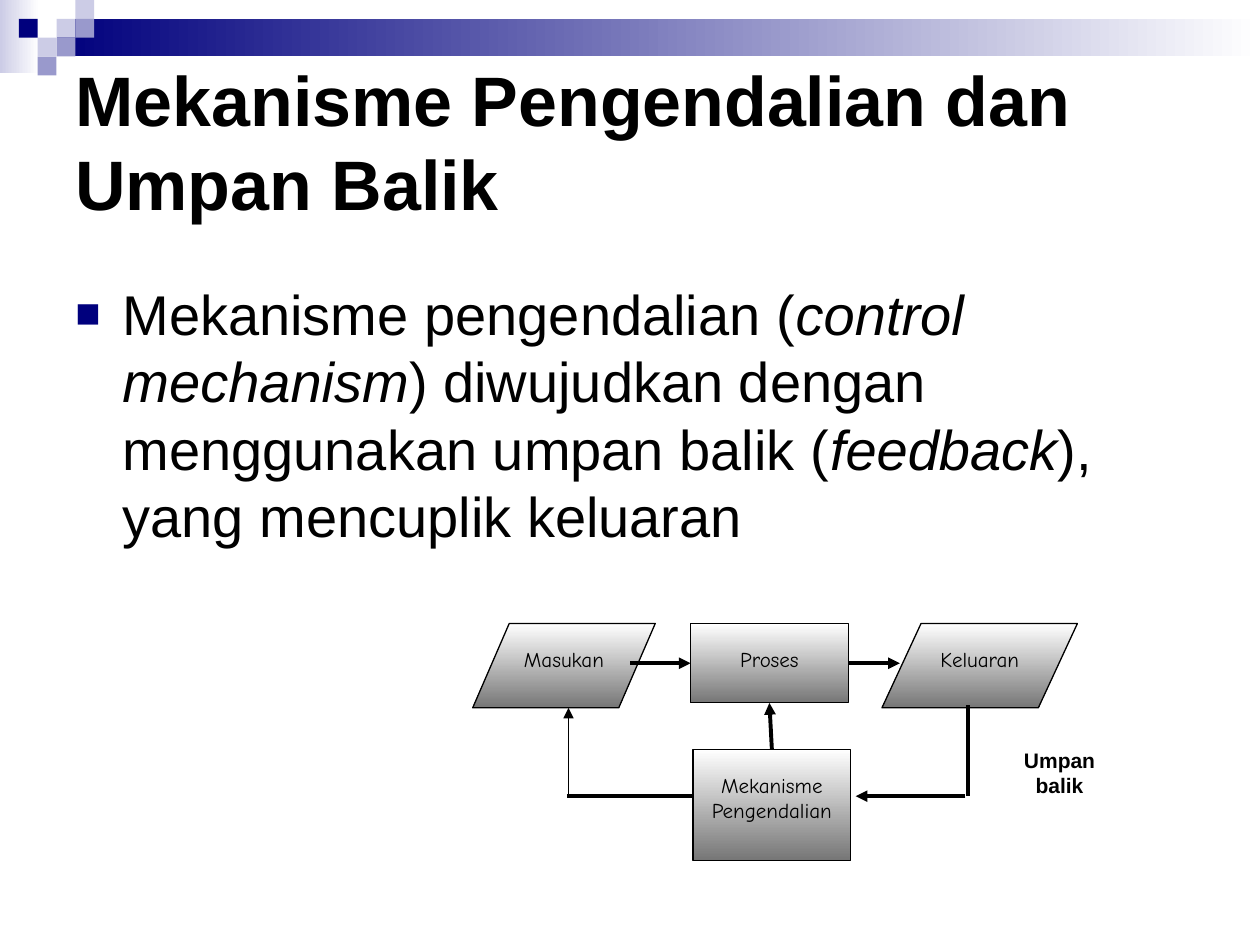
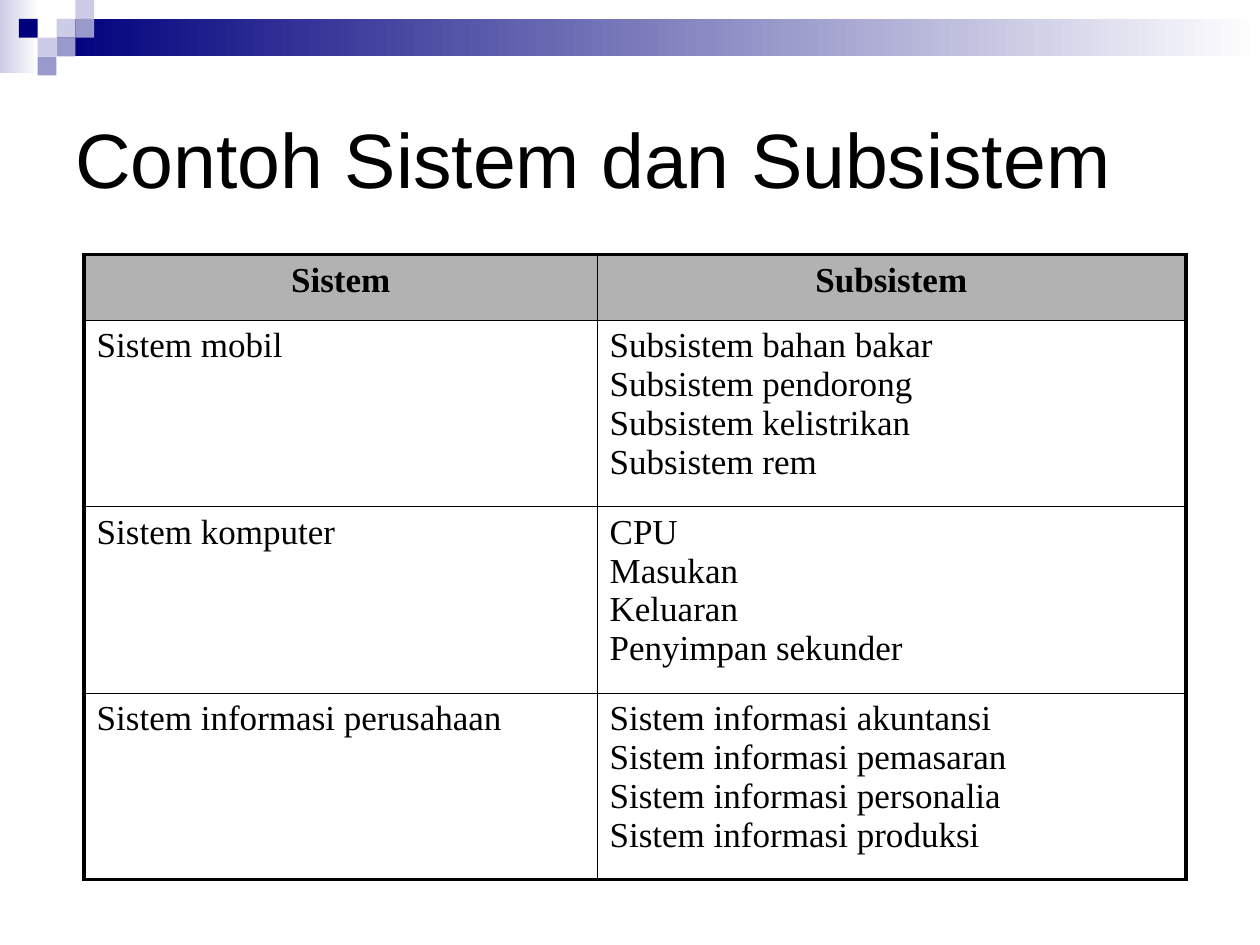
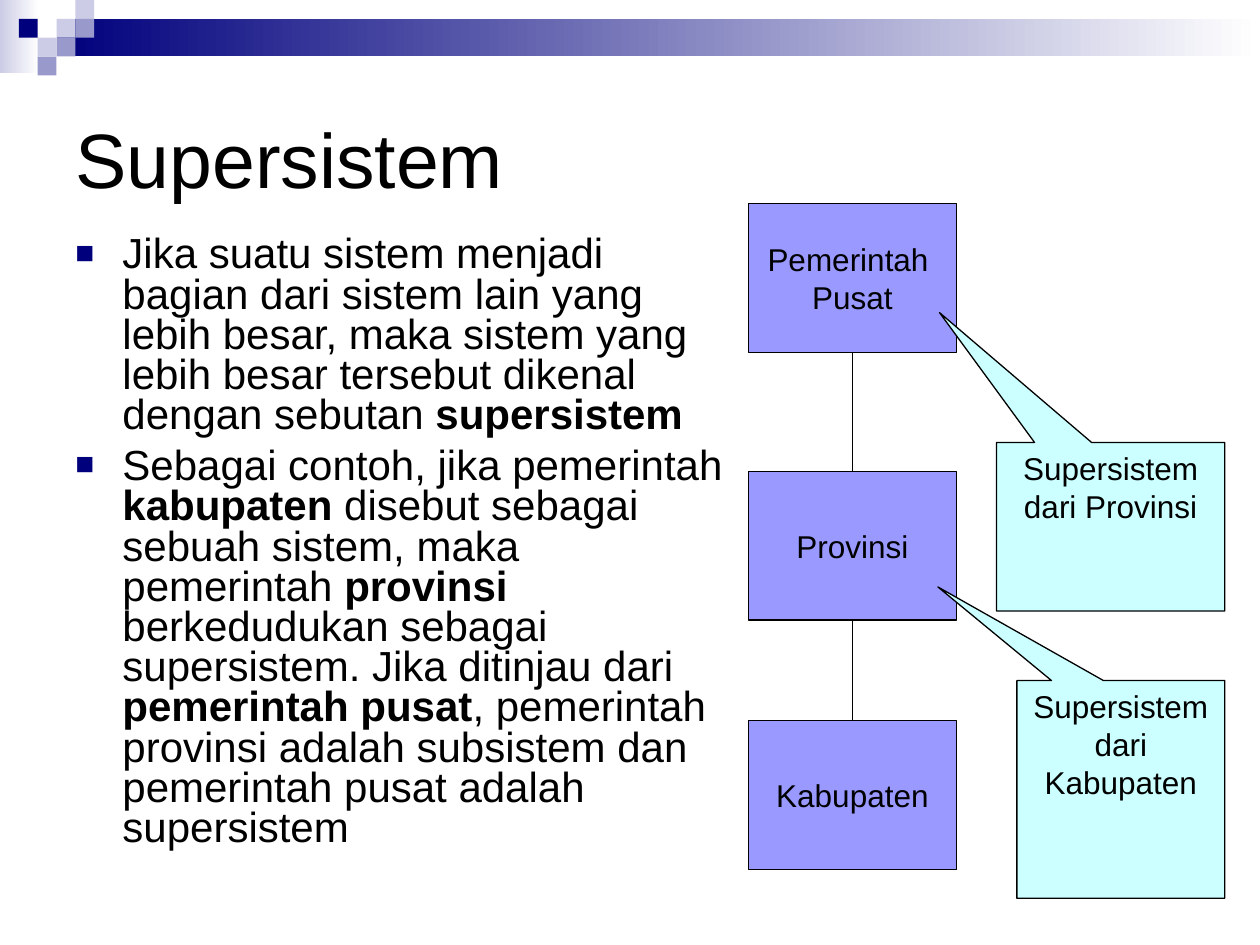
from dataclasses import dataclass, replace
from typing import NamedTuple, Optional

from lxml.etree import SubElement
from pptx import Presentation
from pptx.dml.color import RGBColor
from pptx.enum.shapes import MSO_CONNECTOR as Conn, MSO_SHAPE as Shape
from pptx.enum.text import MSO_ANCHOR as Anchor, PP_ALIGN as Align
from pptx.oxml.ns import qn
from pptx.util import Cm, Pt

BLACK, WHITE, GREY, HEADER = "000000", "FFFFFF", "767676", "B2B2B2"
NAVY, LILAC, MAUVE = "00007D", "CCCCE6", "9999CC"
PERIWINKLE, ICE = "9999FF", "CCFFFF"
SLIDE_W, SLIDE_H, TILE = 25.4, 19.05, 0.38
INSET_X, INSET_Y = 0.25, 0.13
THIN, THICK = 0.75, 2.25


class Box(NamedTuple):
    x: float
    y: float
    w: float
    h: float

    def cm(self):
        return [Cm(v) for v in self]


class Run(NamedTuple):
    text: str
    bold: bool = False
    italic: bool = False


class Tile(NamedTuple):
    col: int
    row: int
    color: str


class Gradient(NamedTuple):
    start: str
    end: str
    angle: int = 0


@dataclass(frozen=True)
class Style:
    size: float
    font: str = "Arial"
    align: Align = Align.LEFT
    leading: float = 1.2
    before: float = 0
    bullet: bool = False
    anchor: Anchor = Anchor.TOP
    wrap: bool = True
    top: float = INSET_Y
    bottom: float = INSET_Y


@dataclass(frozen=True)
class Node:
    box: Box
    lines: list
    style: Style
    kind: Shape = Shape.RECTANGLE
    fill: object = WHITE
    line: Optional[float] = THIN
    adjust: tuple = ()


@dataclass(frozen=True)
class Link:
    start: tuple
    end: tuple
    width: float = THIN
    arrow: bool = False


TILES = [Tile(3, 1, LILAC), Tile(4, 0, LILAC), Tile(4, 1, MAUVE), Tile(2, 2, LILAC),
         Tile(1, 1, NAVY), Tile(3, 2, MAUVE), Tile(2, 3, MAUVE)]
TITLE = Style(44, anchor=Anchor.MIDDLE)
BODY = Style(32, bullet=True)
DENSE = Style(24, bullet=True, leading=0.96, before=6)
FLOW = Style(12, "Comic Neue", Align.CENTER, top=0.46)
LABEL = Style(12, align=Align.CENTER)
CALLOUT = Style(18, align=Align.CENTER)
LEVEL = replace(CALLOUT, anchor=Anchor.MIDDLE, wrap=False)
CELL = Style(20, "Times New Roman", leading=1.11)
METAL = Gradient(WHITE, GREY, 270)


def rgb(color: str) -> RGBColor:
    return RGBColor.from_string(color)


def add_bullet(p) -> None:
    pPr = p._p.get_or_add_pPr()
    pPr.set("marL", str(Cm(0.95)))
    pPr.set("indent", str(-Cm(0.95)))
    SubElement(SubElement(pPr, qn("a:buClr")), qn("a:srgbClr"), val=NAVY)
    SubElement(pPr, qn("a:buSzPct"), val="75000")
    SubElement(pPr, qn("a:buFont"), typeface="Arial")
    SubElement(pPr, qn("a:buChar"), char="■")


def write(tf, lines: list, style: Style) -> None:
    for i, runs in enumerate(lines):
        p = tf.add_paragraph() if i else tf.paragraphs[0]
        if style.bullet:
            add_bullet(p)
        p.alignment = style.align
        p.line_spacing = Pt(round(style.size * style.leading, 1))
        if i:
            p.space_before = Pt(style.before)
        for run in runs:
            r = p.add_run()
            r.text = run.text
            r.font.name, r.font.size = style.font, Pt(style.size)
            r.font.bold, r.font.italic = run.bold, run.italic
            r.font.color.rgb = rgb(BLACK)


def fill_frame(tf, lines: list, style: Style) -> None:
    tf.word_wrap = style.wrap
    tf.vertical_anchor = style.anchor
    tf.margin_left = tf.margin_right = Cm(INSET_X)
    tf.margin_top, tf.margin_bottom = Cm(style.top), Cm(style.bottom)
    write(tf, lines, style)


def paint(fill, color) -> None:
    if isinstance(color, Gradient):
        fill.gradient()
        fill.gradient_angle = color.angle
        for stop, value in zip(fill.gradient_stops, (color.start, color.end)):
            stop.color.rgb = rgb(value)
    else:
        fill.solid()
        fill.fore_color.rgb = rgb(color)


def add_shape(s, box: Box, color, kind=Shape.RECTANGLE, line: Optional[float] = None):
    sp = s.shapes.add_shape(kind, *box.cm())
    sp.shadow.inherit = False
    paint(sp.fill, color)
    if line is None:
        sp.line.fill.background()
    else:
        sp.line.color.rgb = rgb(BLACK)
        sp.line.width = Pt(line)
    return sp


def add_node(s, node: Node):
    sp = add_shape(s, node.box, node.fill, node.kind, node.line)
    for i, value in enumerate(node.adjust):
        sp.adjustments[i] = value
    fill_frame(sp.text_frame, node.lines, node.style)
    return sp


def add_link(s, link: Link) -> None:
    c = s.shapes.add_connector(Conn.STRAIGHT, 0, 0, 0, 0)
    (x1, y1), (x2, y2) = link.start, link.end
    if isinstance(x1, float):
        c.begin_x, c.begin_y = Cm(x1), Cm(y1)
    else:
        c.begin_connect(x1, y1)
    if isinstance(x2, float):
        c.end_x, c.end_y = Cm(x2), Cm(y2)
    else:
        c.end_connect(x2, y2)
    c.line.color.rgb = rgb(BLACK)
    c.line.width = Pt(link.width)
    if link.arrow:
        SubElement(c.line._get_or_add_ln(), qn("a:tailEnd"), type="triangle")
    SubElement(c._element.spPr, qn("a:effectLst"))


def add_text(s, box: Box, lines: list, style: Style) -> None:
    fill_frame(s.shapes.add_textbox(*box.cm()).text_frame, lines, style)


def add_slide(prs, title: Run, top: float = 1.27, style: Style = TITLE):
    s = prs.slides.add_slide(prs.slide_layouts[6])
    add_shape(s, Box(0, 0, 0.79, 1.47), Gradient(LILAC, WHITE))
    add_shape(s, Box(3 * TILE, TILE, SLIDE_W - 3 * TILE, 2 * TILE), Gradient(NAVY, WHITE))
    for tile in TILES:
        add_shape(s, Box(tile.col * TILE, tile.row * TILE, TILE, TILE), tile.color)
    add_text(s, Box(1.27, top, 22.86, 3.81), [[title]], style)
    return s


def set_borders(cell, widths: dict) -> None:
    tcPr = cell._tc.get_or_add_tcPr()
    for i, (side, width) in enumerate(widths.items()):
        ln = SubElement(tcPr, qn(f"a:ln{side}"), w=str(Pt(width)))
        SubElement(SubElement(ln, qn("a:solidFill")), qn("a:srgbClr"), val=BLACK)
        tcPr.insert(i, ln)


def control_slide(prs) -> None:
    s = add_slide(prs, Run("Mekanisme Pengendalian dan Umpan Balik", bold=True), 1.78,
                  replace(TITLE, size=40, bottom=1.82))
    add_text(s, Box(1.27, 5.51, 22.86, 6.02), [[
        Run("Mekanisme pengendalian ("), Run("control mechanism", italic=True),
        Run(") diwujudkan dengan menggunakan umpan balik ("), Run("feedback", italic=True),
        Run("), yang mencuplik keluaran")]], BODY)

    data = Shape.FLOWCHART_DATA
    add_node(s, Node(Box(9.53, 12.57, 3.68, 1.7), [[Run("Masukan")]], FLOW, data, METAL))
    process = add_node(s, Node(Box(13.92, 12.57, 3.18, 1.6), [[Run("Proses")]], FLOW, fill=METAL))
    add_node(s, Node(Box(17.78, 12.57, 3.94, 1.7), [[Run("Keluaran")]], FLOW, data, METAL))
    control = add_node(s, Node(Box(13.97, 15.11, 3.18, 2.24),
                               [[Run("Mekanisme Pengendalian")]], FLOW, fill=METAL))
    add_node(s, Node(Box(20.09, 14.94, 2.54, 1.57), [[Run("Umpan balik", bold=True)]],
                     LABEL, line=None))
    for link in (
        Link((12.7, 13.37), (process, 1), THICK, True),
        Link((process, 3), (18.14, 13.37), THICK, True),
        Link((control, 0), (process, 2), THICK, True),
        Link((19.51, 14.22), (19.51, 16.05), THICK),
        Link((19.46, 16.05), (17.25, 16.05), THICK, True),
        Link((13.97, 16.05), (11.43, 16.05), THICK),
        Link((11.46, 16.08), (11.46, 14.27), THIN, True),
    ):
        add_link(s, link)


def subsystem_slide(prs) -> None:
    s = add_slide(prs, Run("Contoh Sistem dan Subsistem"))
    rows = [
        (["Sistem"], ["Subsistem"]),
        (["Sistem mobil"], ["Subsistem bahan bakar", "Subsistem pendorong",
                            "Subsistem kelistrikan", "Subsistem rem"]),
        (["Sistem komputer"], ["CPU", "Masukan", "Keluaran", "Penyimpan sekunder"]),
        (["Sistem informasi perusahaan"],
         ["Sistem informasi akuntansi", "Sistem informasi pemasaran",
          "Sistem informasi personalia", "Sistem informasi produksi"]),
    ]
    table = s.shapes.add_table(len(rows), 2, *Box(1.7, 5.13, 22.2, 12.6).cm()).table
    table.first_row = table.horz_banding = False
    for column, width in zip(table.columns, (10.34, 11.86)):
        column.width = Cm(width)
    inner, outer, last = 0.45, 2.5, len(rows) - 1
    for i, row in enumerate(rows):
        head = i == 0
        table.rows[i].height = Cm(1.32 if head else 3.76)
        for j, lines in enumerate(row):
            cell = table.cell(i, j)
            cell.margin_left = cell.margin_right = Cm(INSET_X)
            cell.margin_top = cell.margin_bottom = Cm(INSET_Y)
            if head:
                paint(cell.fill, HEADER)
            else:
                cell.fill.background()
            set_borders(cell, {"L": inner if j else outer, "R": outer if j else inner,
                               "T": outer if head else inner,
                               "B": outer if i == last else inner})
            style = replace(CELL, align=Align.CENTER) if head else CELL
            write(cell.text_frame, [[Run(text, bold=head)] for text in lines], style)


def supersystem_slide(prs) -> None:
    s = add_slide(prs, Run("Supersistem"))
    add_text(s, Box(1.27, 4.65, 13.64, 12.67), [
        [Run("Jika suatu sistem menjadi bagian dari sistem lain yang lebih besar, maka sistem "
             "yang lebih besar tersebut dikenal dengan sebutan "), Run("supersistem", True)],
        [Run("Sebagai contoh, jika pemerintah "), Run("kabupaten", True),
         Run(" disebut sebagai sebuah sistem, maka pemerintah "), Run("provinsi", True),
         Run(" berkedudukan sebagai supersistem. Jika ditinjau dari "),
         Run("pemerintah pusat", True),
         Run(", pemerintah provinsi adalah subsistem dan pemerintah pusat adalah supersistem")],
    ], DENSE)

    levels = [(4.11, ["Pemerintah ", "Pusat"]), (9.5, ["Provinsi"]), (14.53, ["Kabupaten"])]
    boxes = [add_node(s, Node(Box(15.09, y, 4.19, 3), [[Run(t)] for t in lines], LEVEL,
                              fill=PERIWINKLE)) for y, lines in levels]
    for upper, lower in zip(boxes, boxes[1:]):
        add_link(s, Link((upper, 2), (lower, 0)))
    for box, name, adjust in (
        (Box(20.5, 13.72, 4.19, 4.39), "dari Kabupaten", (-0.88, -0.93)),
        (Box(20.09, 8.92, 4.6, 3.4), "dari Provinsi", (-0.75, -1.27)),
    ):
        add_node(s, Node(box, [[Run("Supersistem")], [Run(name)]], CALLOUT,
                         Shape.RECTANGULAR_CALLOUT, ICE, adjust=adjust))


def main() -> None:
    prs = Presentation()
    prs.slide_width, prs.slide_height = Cm(SLIDE_W), Cm(SLIDE_H)
    control_slide(prs)
    subsystem_slide(prs)
    supersystem_slide(prs)
    prs.save("out.pptx")


if __name__ == "__main__":
    main()
